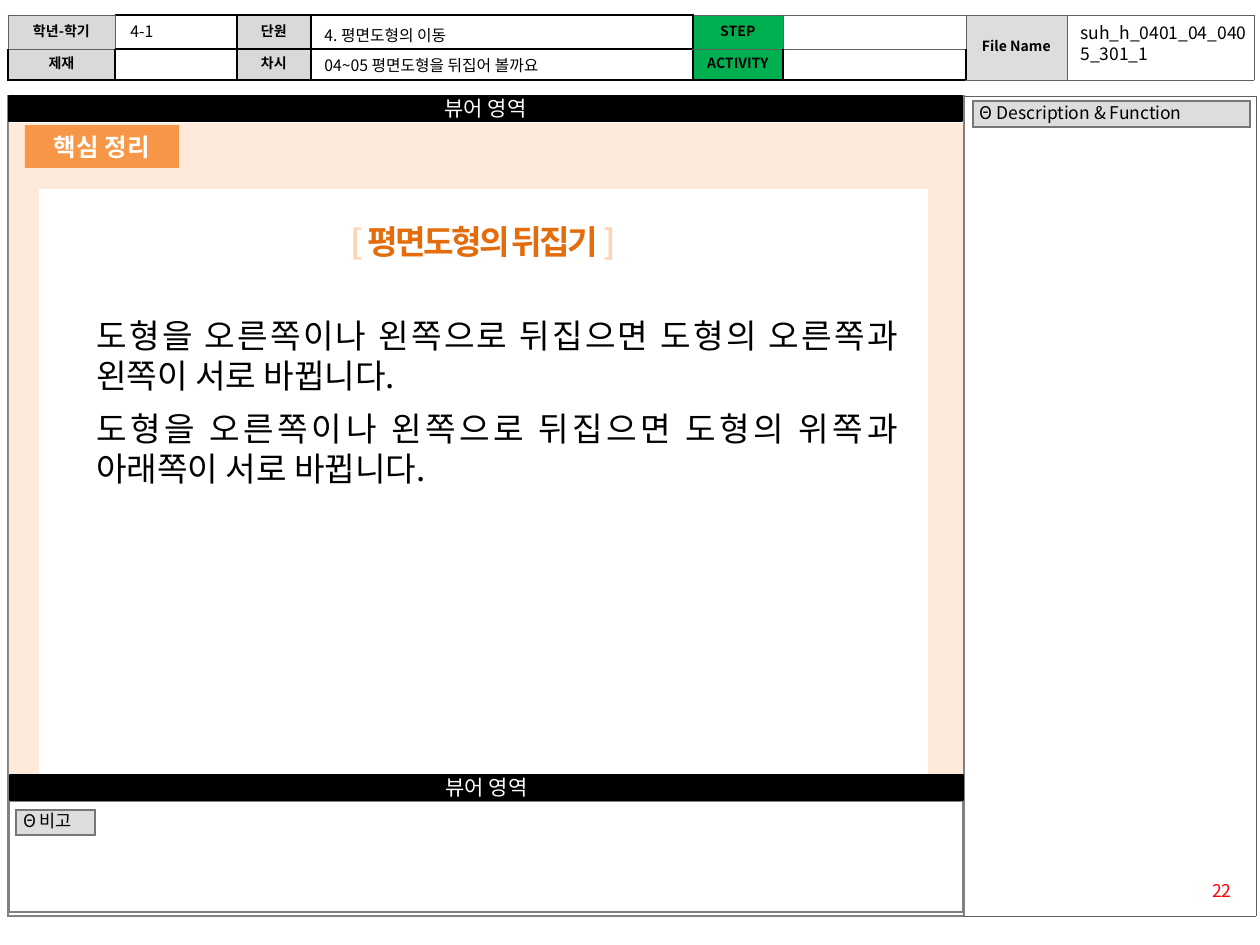
import pptx
import pptx.util
import pptx.dml.color
import pptx.enum.shapes
import pptx.enum.text
import pptx.oxml.ns
import lxml.etree

RGBColor = pptx.dml.color.RGBColor
ALIGN = pptx.enum.text.PP_ALIGN
ANCHOR = pptx.enum.text.MSO_ANCHOR
qn = pptx.oxml.ns.qn

PX = 914400 / 126
FONT = "Noto Sans CJK KR"
BLACK = RGBColor(0x00, 0x00, 0x00)
WHITE = RGBColor(0xFF, 0xFF, 0xFF)
RED = RGBColor(0xFF, 0x00, 0x00)
GREEN = RGBColor(0x00, 0xB0, 0x50)
HEAD_GRAY = RGBColor(0xD9, 0xD9, 0xD9)
LABEL_GRAY = RGBColor(0xDD, 0xDD, 0xDD)
LABEL_EDGE = RGBColor(0x77, 0x77, 0x77)
FRAME_GRAY = RGBColor(0x80, 0x80, 0x80)
THIN_GRAY = RGBColor(0x5F, 0x5F, 0x5F)
PEACH = RGBColor(0xFD, 0xEA, 0xDA)
LIGHT_ORANGE = RGBColor(0xFC, 0xD5, 0xB5)
ORANGE = RGBColor(0xF7, 0x96, 0x46)
DARK_ORANGE = RGBColor(0xE4, 0x6C, 0x0A)

FRAME = (FRAME_GRAY, 1.5)
THIN = (THIN_GRAY, 0.25)
SOLID = (BLACK, 1)
LABEL_LINE = (LABEL_EDGE, 1)

HEADER_COLUMNS = [107, 122, 74, 382, 90, 183, 101, 187]
HEADER_ROWS = [34, 31]
HEADER = [
    [("학년-학기", HEAD_GRAY, "LRTB"), ("", None, "L"), ("단원", HEAD_GRAY, ""), ("", None, ""),
     ("STEP", GREEN, "RTB"), ("", None, "LRTB"), ("File Name", LABEL_GRAY, "LRTB"), ("", None, "LRTB")],
    [("제재", HEAD_GRAY, "T"), ("", None, ""), ("차시", HEAD_GRAY, ""), ("", None, ""),
     ("ACTIVITY", GREEN, "T"), ("", None, "T"), ("", None, "LRTB"), ("", None, "LRTB")],
]
LABELS = [((16, 810, 79, 25), "Θ 비고"), ((973, 101, 277, 26), "Θ Description & Function")]
PANELS = [((9, 123, 954, 652), PEACH, None), ((40, 190, 887, 584), WHITE, WHITE)]
VIEWER_BARS = [(9, 96, 953, 25), (10, 775, 953, 25)]
VIEWER_TEXT = "뷰어 영역"
HEADER_TEXTS = [
    ((1068, 16, 192, 55), "suh_h_0401_04_0405_301_1", 10, ALIGN.JUSTIFY),
    ((118, 16, 118, 30), "4-1", 9, ALIGN.LEFT),
    ((312, 20, 382, 20), "4. 평면도형의 이동", 9, ALIGN.LEFT),
    ((312, 50, 377, 30), "04~05 평면도형을 뒤집어 볼까요", 9, ALIGN.LEFT),
]
TITLE = [("[ ", LIGHT_ORANGE), ("평면도형의 뒤집기 ", DARK_ORANGE), ("]", LIGHT_ORANGE)]
SUMMARY = [
    "도형을 오른쪽이나 왼쪽으로 뒤집으면 도형의 오른쪽과 왼쪽이 서로 바뀝니다.",
    "도형을 오른쪽이나 왼쪽으로 뒤집으면 도형의 위쪽과 아래쪽이 서로 바뀝니다.",
]


def emu(px):
    return pptx.util.Emu(round(px * PX))


def format_run(run, size, color, bold=False):
    run.font.size = pptx.util.Pt(size)
    run.font.bold = bold
    run.font.color.rgb = color
    run.font.name = FONT
    lxml.etree.SubElement(run.font._element, qn("a:ea"), typeface=FONT)


def write(text_frame, text, size, color=BLACK, align=ALIGN.LEFT, bold=False):
    text_frame.text = text
    text_frame.word_wrap = True
    paragraph = text_frame.paragraphs[0]
    paragraph.alignment = align
    paragraph.line_spacing = pptx.util.Pt(round(size * 1.2, 1))
    for run in paragraph.runs:
        format_run(run, size, color, bold)
    return paragraph


def add_text(slide, box, *style):
    shape = slide.shapes.add_textbox(*map(emu, box))
    return write(shape.text_frame, *style)


def add_rectangle(slide, box, fill, line=None):
    shape = slide.shapes.add_shape(pptx.enum.shapes.MSO_SHAPE.RECTANGLE, *map(emu, box))
    shape.shadow.inherit = False
    shape.fill.solid()
    shape.fill.fore_color.rgb = fill
    if line is None:
        shape.line.fill.background()
    else:
        shape.line.color.rgb = line
        shape.line.width = pptx.util.Pt(1)
    return shape


def add_table(slide, left, top, columns, rows):
    frame = slide.shapes.add_table(len(rows), len(columns), emu(left), emu(top),
                                   emu(sum(columns)), emu(sum(rows)))
    table = frame.table
    table.first_row = table.horz_banding = False
    for column, width in zip(table.columns, columns):
        column.width = emu(width)
    for row, height in zip(table.rows, rows):
        row.height = emu(height)
    return table


def style_cell(cell, borders, fill=None, margin_x=12, margin_y=5):
    cell.margin_left = cell.margin_right = emu(margin_x)
    cell.margin_top = cell.margin_bottom = emu(margin_y)
    cell.vertical_anchor = ANCHOR.MIDDLE
    properties = cell._tc.get_or_add_tcPr()
    for side in "LRTB":
        color, width = borders[side]
        line = lxml.etree.SubElement(properties, qn("a:ln" + side), w=str(pptx.util.Pt(width)))
        solid = lxml.etree.SubElement(line, qn("a:solidFill"))
        lxml.etree.SubElement(solid, qn("a:srgbClr"), val=str(color))
    if fill is None:
        cell.fill.background()
        paragraph = cell.text_frame.paragraphs[0]
        lxml.etree.SubElement(paragraph._p, qn("a:endParaRPr"), sz="800")
    else:
        cell.fill.solid()
        cell.fill.fore_color.rgb = fill


def add_header(slide):
    table = add_table(slide, 8, 15, HEADER_COLUMNS, HEADER_ROWS)
    for row, cells in enumerate(HEADER):
        for column, (text, fill, thin_sides) in enumerate(cells):
            cell = table.cell(row, column)
            borders = {side: THIN if side in thin_sides else SOLID for side in "LRTB"}
            style_cell(cell, borders, fill)
            if text:
                write(cell.text_frame, text, 8, BLACK, ALIGN.CENTER, True)
    for column in (6, 7):
        table.cell(0, column).merge(table.cell(1, column))


def main():
    presentation = pptx.Presentation()
    presentation.slide_width = emu(1260)
    presentation.slide_height = emu(945)
    slide = presentation.slides.add_slide(presentation.slide_layouts[6])

    page = add_table(slide, 8, 96, [956, 292], [820])
    style_cell(page.cell(0, 0), dict.fromkeys("LRTB", FRAME))
    style_cell(page.cell(0, 1), {**dict.fromkeys("RTB", THIN), "L": FRAME})
    add_header(slide)
    remarks = add_table(slide, 9, 801, [954], [111])
    style_cell(remarks.cell(0, 0), dict.fromkeys("LRTB", FRAME))

    for (left, top, width, height), text in LABELS:
        cell = add_table(slide, left, top, [width], [height]).cell(0, 0)
        style_cell(cell, dict.fromkeys("LRTB", LABEL_LINE), LABEL_GRAY, 7, 1)
        write(cell.text_frame, text, 10)

    add_text(slide, (1160, 874, 84, 34), "22", 10, RED, ALIGN.RIGHT)
    for box, fill, line in PANELS:
        add_rectangle(slide, box, fill, line)
    for box in VIEWER_BARS:
        bar = add_rectangle(slide, box, BLACK, BLACK)
        write(bar.text_frame, VIEWER_TEXT, 12, WHITE, ALIGN.CENTER)

    badge = add_rectangle(slide, (25, 125, 154, 43), ORANGE)
    write(badge.text_frame, "핵심 정리", 14, WHITE, ALIGN.CENTER, True)

    title = add_text(slide, (54, 215, 858, 53), "", 19, BLACK, ALIGN.CENTER)
    for text, color in TITLE:
        run = title.add_run()
        run.text = text
        format_run(run, 19, color, True)
        run.font._element.set("spc", "-150")

    for box, text, size, align in HEADER_TEXTS:
        add_text(slide, box, text, size, BLACK, align)
    for index, text in enumerate(SUMMARY):
        block = add_rectangle(slide, (84, 309 + 93 * index, 827, 93), WHITE)
        write(block.text_frame, text, 19, BLACK, ALIGN.JUSTIFY)

    presentation.save("out.pptx")


if __name__ == "__main__":
    main()
